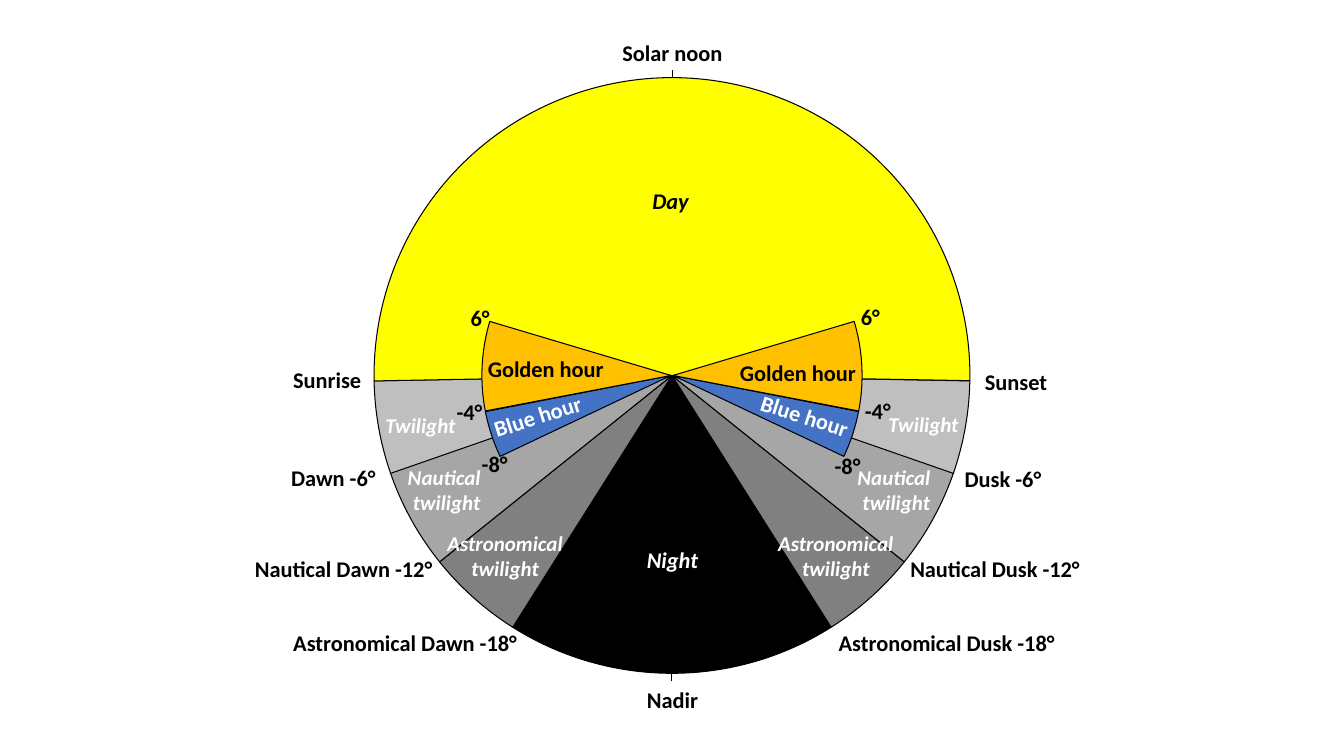
from lxml import etree
from pptx import Presentation
from pptx.dml.color import RGBColor
from pptx.enum.shapes import MSO_CONNECTOR, MSO_SHAPE
from pptx.enum.text import MSO_AUTO_SIZE, PP_ALIGN
from pptx.oxml.ns import qn
from pptx.util import Inches, Pt

PIE = MSO_SHAPE.PIE
STRAIGHT = MSO_CONNECTOR.STRAIGHT
LEFT, CENTER = PP_ALIGN.LEFT, PP_ALIGN.CENTER
FIT_TEXT = MSO_AUTO_SIZE.SHAPE_TO_FIT_TEXT

BLACK = RGBColor(0x00, 0x00, 0x00)
WHITE = RGBColor(0xFF, 0xFF, 0xFF)
DARK_GRAY = RGBColor(0x80, 0x80, 0x80)
MID_GRAY = RGBColor(0xA6, 0xA6, 0xA6)
LIGHT_GRAY = RGBColor(0xBF, 0xBF, 0xBF)
BLUE = RGBColor(0x44, 0x72, 0xC4)
GOLD = RGBColor(0xFF, 0xC0, 0x00)
YELLOW = RGBColor(0xFF, 0xFF, 0x00)

FONT = "Calibri"
LINE_WIDTH = Pt(0.75)
ADJUSTMENT_PER_DEGREE = 0.6

# Circles: left, top, diameter
SKY = (3.71, 0.77, 5.91)
DAWN_HOURS = (4.78, 1.85, 3.75)
DUSK_HOURS = (4.8, 1.85, 3.75)

# Dawn-side sectors: start and end in degrees clockwise from the right, fill
TWILIGHTS = [
    (122.3, 141.25, DARK_GRAY),
    (141.26, 160.97, MID_GRAY),
    (160.81, 178.95, LIGHT_GRAY),
]
BLUE_HOUR = (154.64, 168.98, BLUE)
GOLDEN_HOUR = (169.17, 196.62, GOLD)

# Labels on the rim and at the sun angles: text, left, top, width
EVENTS = [
    ("Sunrise", 2.81, 3.58, 1.76),
    ("Dawn -6°", 2.79, 4.56, 1.76),
    ("Nautical Dawn -12°", 2.43, 5.46, 2.01),
    ("Astronomical Dawn -18°", 2.81, 6.19, 2.51),
    ("Sunset", 9.67, 3.6, 0.85),
    ("Dusk -6°", 9.47, 4.57, 1.76),
    ("Nautical Dusk -12°", 8.93, 5.46, 1.97),
    ("Astronomical Dusk -18°", 8.22, 6.19, 2.51),
    ("Golden hour", 4.74, 3.47, 1.76),
    ("Golden hour", 7.24, 3.51, 1.76),
    ("6°", 8.44, 2.96, 0.7),
    ("-4°", 8.48, 3.89, 0.7),
    ("-8°", 8.18, 4.44, 0.7),
    ("6°", 4.57, 2.97, 0.7),
    ("-4°", 4.43, 3.9, 0.7),
    ("-8°", 4.68, 4.42, 0.7),
]
TWILIGHT_NAMES = [
    ("Twilight", 8.28, 4.03, 1.76),
    ("Nautical \ntwilight", 8.02, 4.56, 1.74),
    ("Astronomical\ntwilight", 7.42, 5.21, 1.74),
    ("Twilight", 3.3, 4.04, 1.74),
    ("Nautical \ntwilight", 3.56, 4.56, 1.74),
    ("Astronomical\ntwilight", 4.14, 5.21, 1.74),
]


def add_sector(page, circle, start, end, fill):
    """Add one outlined pie sector of a circle."""
    left, top, size = map(Inches, circle)
    sector = page.shapes.add_shape(PIE, left, top, size, size)
    sector.adjustments[0] = start % 360 * ADJUSTMENT_PER_DEGREE
    sector.adjustments[1] = end % 360 * ADJUSTMENT_PER_DEGREE
    sector.shadow.inherit = False
    sector.fill.solid()
    sector.fill.fore_color.rgb = fill
    sector.line.color.rgb = BLACK
    sector.line.width = LINE_WIDTH


def add_mirrored_sector(page, circle, start, end, fill):
    """Add a sector reflected from the dawn side to the dusk side."""
    add_sector(page, circle, 180 - end, 180 - start, fill)


def add_label(page, text, left, top, width, size=16, color=BLACK,
              align=LEFT, italic=False, rotation=0):
    """Add a bold label with one paragraph per line of text."""
    lines = text.split("\n")
    height = 0.37 if len(lines) == 1 else 0.61
    box = page.shapes.add_textbox(
        Inches(left), Inches(top), Inches(width), Inches(height))
    box.rotation = rotation
    frame = box.text_frame
    frame.word_wrap = True
    frame.auto_size = FIT_TEXT
    frame.text = text
    for paragraph in frame.paragraphs:
        paragraph.alignment = align
        font = paragraph.font
        font.name, font.size = FONT, Pt(size)
        font.bold, font.italic = True, italic
        font.color.rgb = color


def add_tick(page, x, top, bottom):
    """Add a short vertical line at the rim."""
    tick = page.shapes.add_connector(
        STRAIGHT, Inches(x), Inches(bottom), Inches(x), Inches(top))
    tick.line.color.rgb = BLACK
    tick.line.width = LINE_WIDTH
    etree.SubElement(tick.element.spPr, qn("a:effectLst"))


def add_sectors(page):
    """Build the sky circle from night up to day, with the photo hours."""
    add_sector(page, SKY, 57.73, 122.49, BLACK)
    sides = [(add_sector, DAWN_HOURS), (add_mirrored_sector, DUSK_HOURS)]
    for add_side, hours in sides:
        for twilight in TWILIGHTS:
            add_side(page, SKY, *twilight)
        add_side(page, hours, *BLUE_HOUR)
    add_sector(page, SKY, 178.95, 1, YELLOW)
    for add_side, hours in sides:
        add_side(page, hours, *GOLDEN_HOUR)


def add_labels(page):
    """Name the sectors, events and sun angles."""
    for event in EVENTS:
        add_label(page, *event)
    add_label(page, "Blue hour", 4.77, 3.84, 1.76, color=WHITE, rotation=342.4)
    add_label(page, "Blue hour", 7.42, 4.04, 1.76, color=WHITE, rotation=17.8)
    add_label(page, "Night", 5.79, 5.37, 1.76, color=WHITE, align=CENTER,
              italic=True)
    add_label(page, "Day", 5.77, 1.81, 1.76, align=CENTER, italic=True)
    add_label(page, "Solar noon", 5.79, 0.34, 1.76, align=CENTER)
    add_label(page, "Nadir", 5.79, 6.76, 1.76, align=CENTER)
    for name in TWILIGHT_NAMES:
        add_label(page, *name, size=15, color=WHITE, align=CENTER, italic=True)


def main():
    """Build and save the day phase diagram."""
    deck = Presentation()
    deck.slide_width, deck.slide_height = Inches(13.33), Inches(7.5)
    page = deck.slides.add_slide(deck.slide_layouts[6])
    add_sectors(page)
    add_labels(page)
    add_tick(page, 6.67, 0.69, 0.77)
    add_tick(page, 6.66, 6.68, 6.76)
    deck.save("out.pptx")


main()
